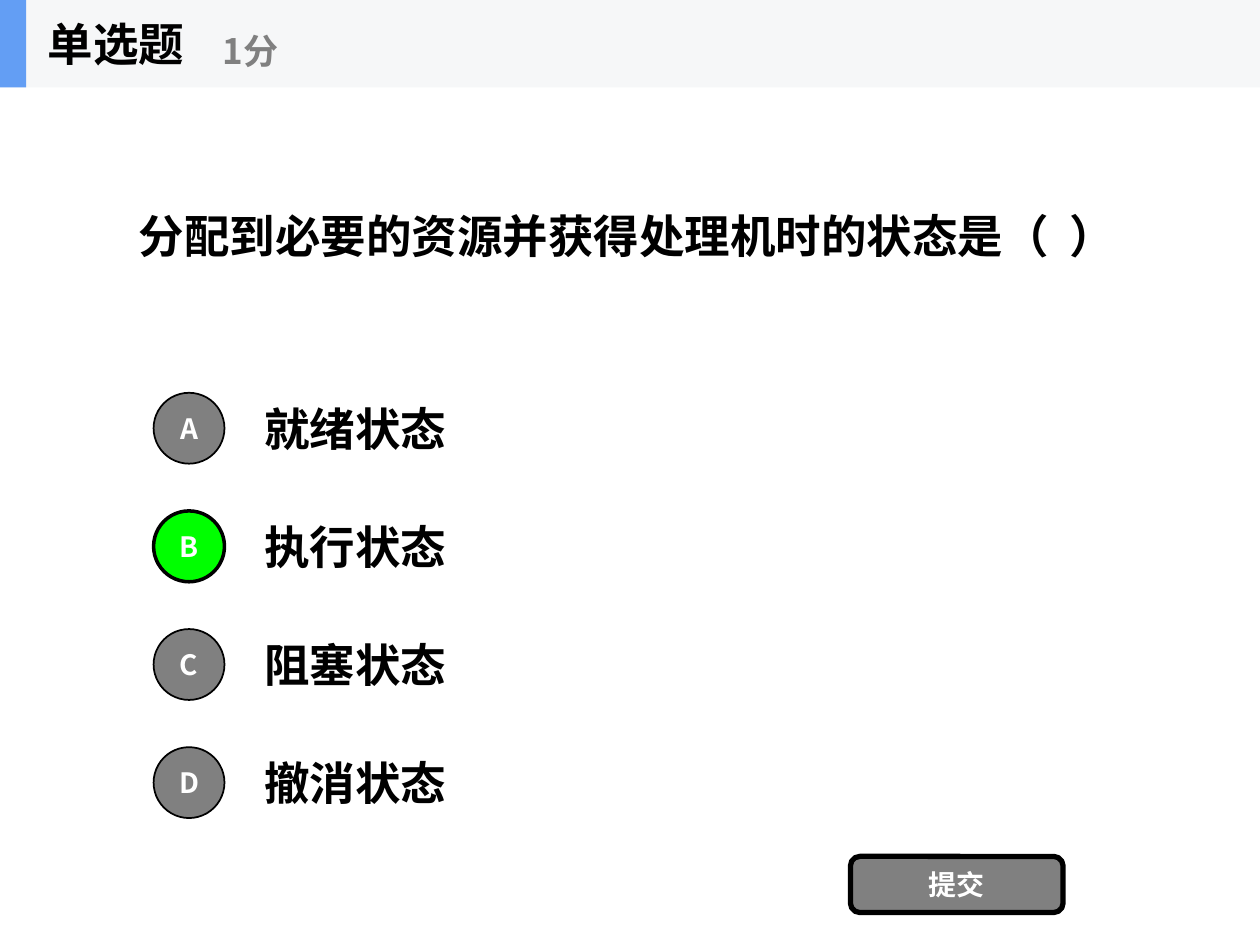
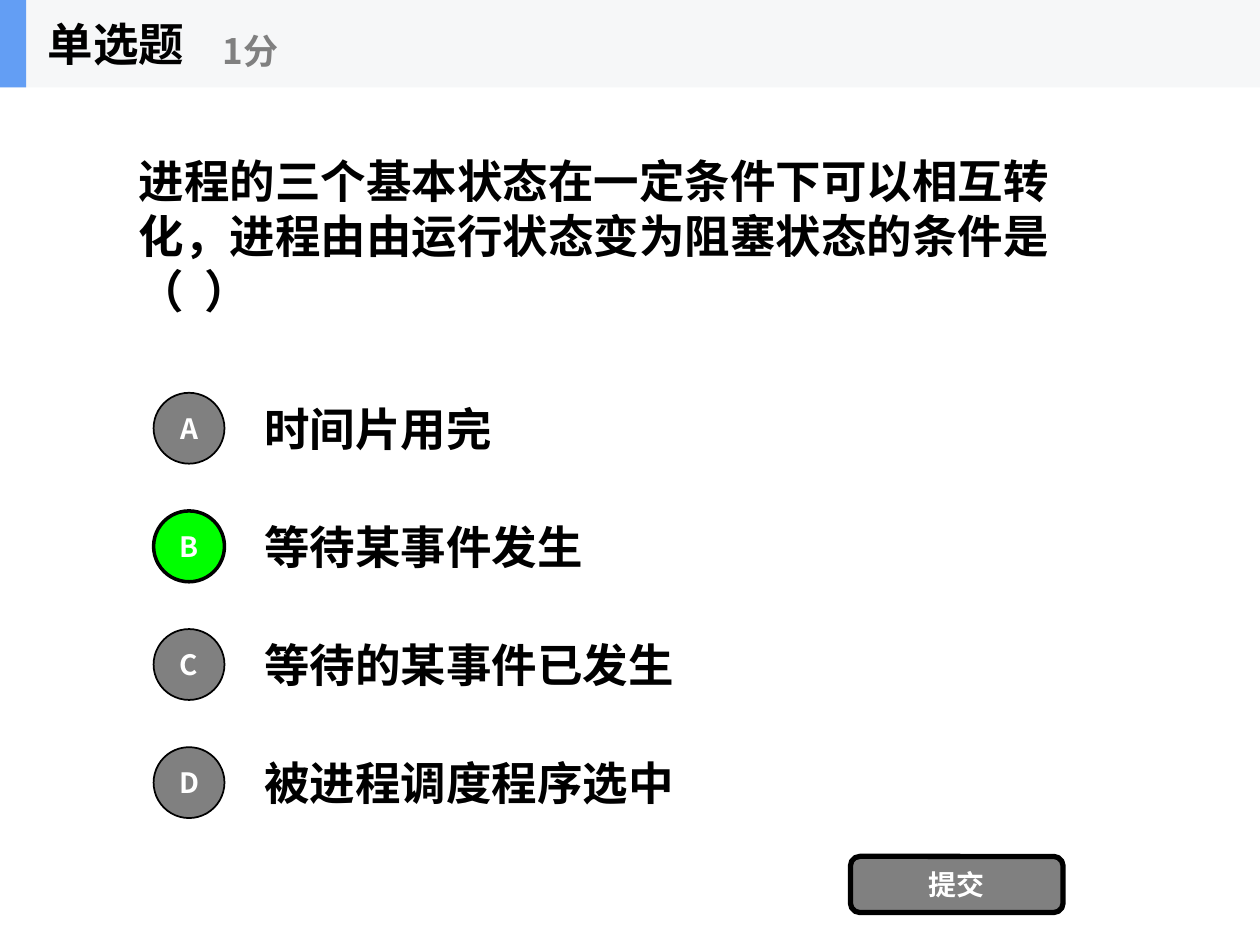
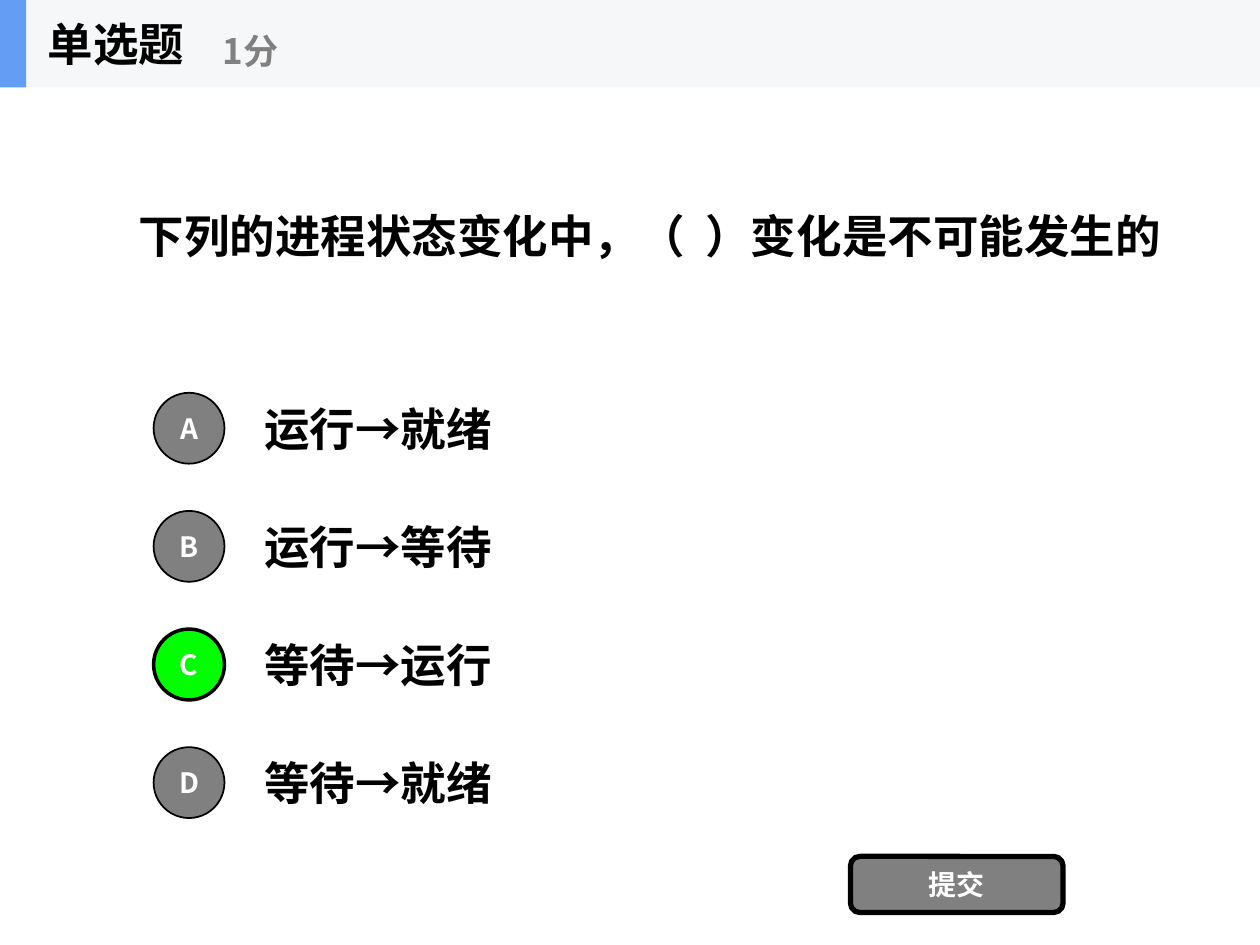
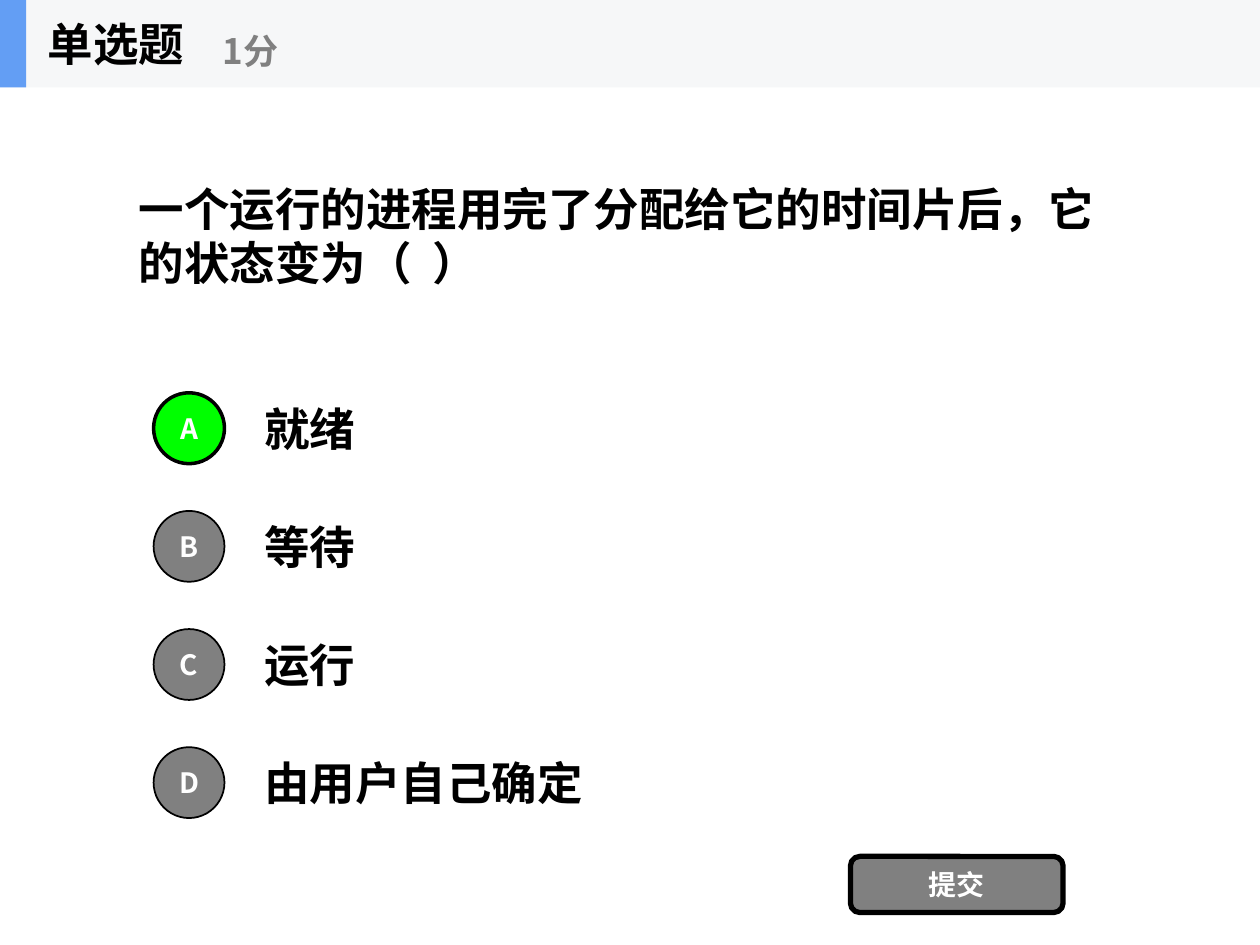
from pptx import Presentation
from pptx.dml.color import RGBColor
from pptx.enum import shapes, text
from pptx.oxml import xmlchemy
from pptx.util import Pt

FONT = "Noto Sans CJK SC"
BLACK = RGBColor(0x00, 0x00, 0x00)
WHITE = RGBColor(0xFF, 0xFF, 0xFF)
GRAY = RGBColor(0x80, 0x80, 0x80)
GREEN = RGBColor(0x00, 0xFF, 0x00)
BAND = RGBColor(0xF6, 0xF7, 0xF8)
ACCENT = RGBColor(0x63, 0x9E, 0xF4)

TITLE_ONLY = 5
PAGE_WIDTH, PAGE_HEIGHT = 720, 540
BAND_HEIGHT = 50
TEXT_SIZE, POINTS_SIZE, BUTTON_SIZE = 26, 20, 16
QUESTION_PITCH = 31.2
QUESTION_WIDTH, WIDE_QUESTION_WIDTH = 576, 603
OPTION_TOP, OPTION_STEP, OPTION_HEIGHT = 219.4, 67.5, 50.6
CIRCLE_LEFT, CIRCLE_SIZE = 87.75, 40.5

QUESTIONS = [
    ("分配到必要的资源并获得处理机时的状态是（  ）", QUESTION_WIDTH, "B",
     ["就绪状态", "执行状态", "阻塞状态", "撤消状态"]),
    ("进程的三个基本状态在一定条件下可以相互转化，进程由由运行状态变为阻塞状态的条件是（  ）",
     QUESTION_WIDTH, "B",
     ["时间片用完", "等待某事件发生", "等待的某事件已发生", "被进程调度程序选中"]),
    ("下列的进程状态变化中，（  ）变化是不可能发生的", WIDE_QUESTION_WIDTH, "C",
     ["运行→就绪", "运行→等待", "等待→运行", "等待→就绪"]),
    ("一个运行的进程用完了分配给它的时间片后，它的状态变为（  ）", QUESTION_WIDTH, "A",
     ["就绪", "等待", "运行", "由用户自己确定"]),
]


def write(box, words, size, color, align=text.PP_ALIGN.LEFT, wrap=True):
    frame = box.text_frame
    frame.word_wrap = wrap
    frame.auto_size = text.MSO_AUTO_SIZE.NONE
    frame.vertical_anchor = text.MSO_ANCHOR.MIDDLE
    para = frame.paragraphs[0]
    para.alignment = align
    span = para.add_run()
    span.text = words
    span.font.size = Pt(size)
    span.font.bold = True
    span.font.color.rgb = color
    span.font.name = FONT
    east_asian = xmlchemy.OxmlElement("a:ea")
    east_asian.set("typeface", FONT)
    span._r.get_or_add_rPr().append(east_asian)
    return para


def add_label(parent, words, left, top, width, height, size=TEXT_SIZE, color=BLACK, wrap=True):
    box = parent.add_textbox(Pt(left), Pt(top), Pt(width), Pt(height))
    write(box, words, size, color, wrap=wrap)


def add_block(parent, kind, left, top, width, height, fill, line_width=0):
    block = parent.add_shape(kind, Pt(left), Pt(top), Pt(width), Pt(height))
    block.shadow.inherit = False
    block.fill.solid()
    block.fill.fore_color.rgb = fill
    if line_width:
        block.line.color.rgb = BLACK
        block.line.width = Pt(line_width)
    else:
        block.line.fill.background()
    return block


def add_question(page, words, width):
    title = page.shapes.title
    title.left, title.top = Pt(72), Pt(BAND_HEIGHT)
    title.width, title.height = Pt(width), Pt(168.75)
    para = write(title, words, TEXT_SIZE, BLACK)
    para.line_spacing = Pt(QUESTION_PITCH)
    para._p.get_or_add_pPr().set("hangingPunct", "0")


def add_circle(page, letter, top, correct):
    fill, line_width = (GREEN, 2) if correct else (GRAY, 1)
    circle = add_block(page.shapes, shapes.MSO_SHAPE.OVAL, CIRCLE_LEFT, top,
                       CIRCLE_SIZE, CIRCLE_SIZE, fill, line_width)
    frame = circle.text_frame
    frame.margin_left = frame.margin_right = frame.margin_top = frame.margin_bottom = 0
    write(circle, letter, BUTTON_SIZE, WHITE, text.PP_ALIGN.CENTER)


def add_options(page, options, answer):
    tops = [OPTION_TOP + row * OPTION_STEP for row in range(len(options))]
    for top, words in zip(tops, options):
        add_label(page.shapes, words, 144, top, 504, OPTION_HEIGHT)
    for top, letter in zip(tops, "ABCD"):
        circle_top = top + (OPTION_HEIGHT - CIRCLE_SIZE) / 2
        add_circle(page, letter, circle_top, letter == answer)


def add_submit_button(page):
    button = add_block(page.shapes, shapes.MSO_SHAPE.ROUNDED_RECTANGLE,
                       486, 489.4, 121.5, 32.1, GRAY, 3)
    write(button, "提交", BUTTON_SIZE, WHITE, text.PP_ALIGN.CENTER)


def add_header(page):
    header = page.shapes.add_group_shape().shapes
    add_block(header, shapes.MSO_SHAPE.RECTANGLE, 0, 0, PAGE_WIDTH, BAND_HEIGHT, BAND)
    add_block(header, shapes.MSO_SHAPE.RECTANGLE, 0, 0, 15, BAND_HEIGHT, ACCENT)
    add_label(header, "单选题", 20.25, 0, 150, BAND_HEIGHT, wrap=False)
    add_label(header, "1分", 120, 8.75, 180, 40.5, POINTS_SIZE, GRAY, wrap=False)


def main():
    deck = Presentation()
    deck.slide_width, deck.slide_height = Pt(PAGE_WIDTH), Pt(PAGE_HEIGHT)
    for question, width, answer, options in QUESTIONS:
        page = deck.slides.add_slide(deck.slide_layouts[TITLE_ONLY])
        add_question(page, question, width)
        add_options(page, options, answer)
        add_submit_button(page)
        add_header(page)
    deck.save("out.pptx")


if __name__ == "__main__":
    main()
